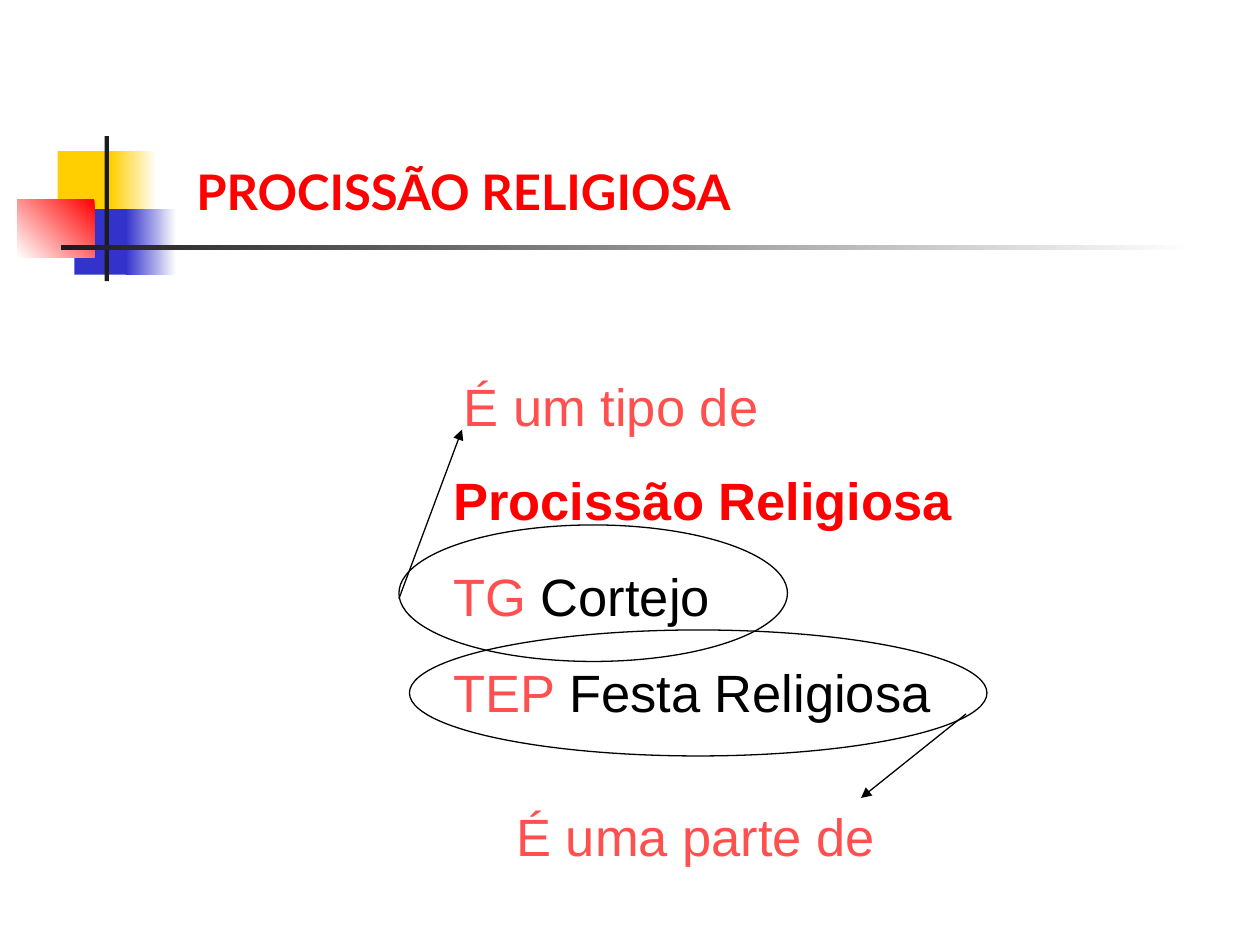
from dataclasses import dataclass
from typing import Optional

from lxml.etree import SubElement
from pptx import Presentation
from pptx.dml.color import RGBColor
from pptx.enum.shapes import MSO_CONNECTOR, MSO_SHAPE
from pptx.enum.text import MSO_ANCHOR, MSO_AUTO_SIZE, PP_ALIGN
from pptx.oxml.ns import qn
from pptx.slide import Slide
from pptx.text.text import TextFrame
from pptx.util import Pt


@dataclass(frozen=True)
class Theme:
    red: str = "FF0000"
    coral: str = "FF5050"
    gold: str = "FFCF01"
    blue: str = "3333CC"
    dark: str = "1C1C1C"
    white: str = "FFFFFF"
    black: str = "000000"
    head: str = "Lato"
    body: str = "Arial"
    large: float = 30
    title: float = 28
    pitch: float = 36
    gap: float = 18.7
    stroke: float = 0.75


@dataclass(frozen=True)
class Box:
    left: float
    top: float
    width: float
    height: float

    def place(self) -> tuple:
        return Pt(self.left), Pt(self.top), Pt(self.width), Pt(self.height)


@dataclass(frozen=True)
class Block:
    box: Box
    start: str
    end: Optional[str] = None
    angle: float = 180


@dataclass(frozen=True)
class Run:
    text: str
    color: str
    bold: bool = False


@dataclass(frozen=True)
class Note:
    box: Box
    lines: list[list[Run]]


@dataclass(frozen=True)
class Arrow:
    start: tuple[float, float]
    end: tuple[float, float]


THEME = Theme()

BLOCKS = [
    Block(Box(33, 86.4, 34.6, 37.4), THEME.gold),
    Block(Box(63.4, 86.4, 26, 37.4), THEME.white, THEME.gold),
    Block(Box(42.5, 119.5, 33, 37.4), THEME.blue),
    Block(Box(72, 119.5, 28.8, 37.4), THEME.white, THEME.blue),
    Block(Box(10, 113.8, 44, 33.1), THEME.red, THEME.white, 225),
    Block(Box(59.8, 77.8, 2.4, 82.8), THEME.dark),
    Block(Box(34.8, 140.2, 648, 2.4), THEME.white, THEME.dark),
]

NOTES = [
    Note(Box(252, 264, 402, 152.6), [
        [Run("Procissão Religiosa", THEME.red, True)],
        [Run("TG ", THEME.coral), Run("Cortejo", THEME.black)],
        [Run("TEP ", THEME.coral), Run("Festa Religiosa", THEME.black)],
    ]),
    Note(Box(258, 210, 222, 43.2), [[Run("É um tipo de", THEME.coral)]]),
    Note(Box(288, 456, 270, 43.2), [[Run("É uma parte de", THEME.coral)]]),
]

RINGS = [Box(228, 300, 222, 78), Box(234, 360, 330, 72)]
ARROWS = [Arrow((228, 342), (264, 245.5)), Arrow((552, 408), (492, 456))]


def tint(code: str) -> RGBColor:
    return RGBColor.from_string(code)


def draw_block(slide: Slide, block: Block) -> None:
    shape = slide.shapes.add_shape(MSO_SHAPE.RECTANGLE, *block.box.place())
    shape.shadow.inherit = False
    shape.line.fill.background()
    if block.end is None:
        shape.fill.solid()
        shape.fill.fore_color.rgb = tint(block.start)
        return
    shape.fill.gradient()
    shape.fill.gradient_angle = block.angle
    for stop, code in zip(shape.fill.gradient_stops, (block.start, block.end)):
        stop.color.rgb = tint(code)


def set_frame(frame: TextFrame) -> None:
    frame.word_wrap = True
    frame.auto_size = MSO_AUTO_SIZE.NONE
    frame.vertical_anchor = MSO_ANCHOR.TOP


def draw_title(slide: Slide, text: str, box: Box) -> None:
    title = slide.shapes.title
    title.left, title.top, title.width, title.height = box.place()
    frame = title.text_frame
    frame.text = text
    set_frame(frame)
    para = frame.paragraphs[0]
    para.alignment = PP_ALIGN.LEFT
    para.font.name = THEME.head
    para.font.size = Pt(THEME.title)
    para.font.bold = True
    para.font.color.rgb = tint(THEME.red)


def draw_note(slide: Slide, note: Note) -> None:
    frame = slide.shapes.add_textbox(*note.box.place()).text_frame
    set_frame(frame)
    for index, line in enumerate(note.lines):
        para = frame.add_paragraph() if index else frame.paragraphs[0]
        para.space_before = Pt(THEME.gap if index else 0)
        para.line_spacing = Pt(THEME.pitch)
        para.font.name = THEME.body
        para.font.size = Pt(THEME.large)
        para.font.bold = line[0].bold
        if len(line) == 1:
            para.font.color.rgb = tint(line[0].color)
        for part in line:
            run = para.add_run()
            run.text = part.text
            if len(line) > 1:
                run.font.color.rgb = tint(part.color)


def draw_ring(slide: Slide, box: Box) -> None:
    ring = slide.shapes.add_shape(MSO_SHAPE.OVAL, *box.place())
    ring.shadow.inherit = False
    ring.fill.background()
    ring.line.color.rgb = tint(THEME.black)
    ring.line.width = Pt(THEME.stroke)


def draw_arrow(slide: Slide, arrow: Arrow) -> None:
    ends = [Pt(value) for value in arrow.start + arrow.end]
    link = slide.shapes.add_connector(MSO_CONNECTOR.STRAIGHT, *ends)
    link.line.color.rgb = tint(THEME.black)
    link.line.width = Pt(THEME.stroke)
    props = link._element.spPr
    SubElement(props.find(qn("a:ln")), qn("a:tailEnd"), type="triangle")
    SubElement(props, qn("a:effectLst"))


def main() -> None:
    deck = Presentation()
    deck.slide_width, deck.slide_height = Pt(720), Pt(540)
    slide = deck.slides.add_slide(deck.slide_layouts[5])
    for block in BLOCKS:
        draw_block(slide, block)
    draw_title(slide, "PROCISSÃO RELIGIOSA", Box(105, 88.5, 487.5, 41))
    for note in NOTES:
        draw_note(slide, note)
    for ring in RINGS:
        draw_ring(slide, ring)
    for arrow in ARROWS:
        draw_arrow(slide, arrow)
    deck.save("out.pptx")


if __name__ == "__main__":
    main()
